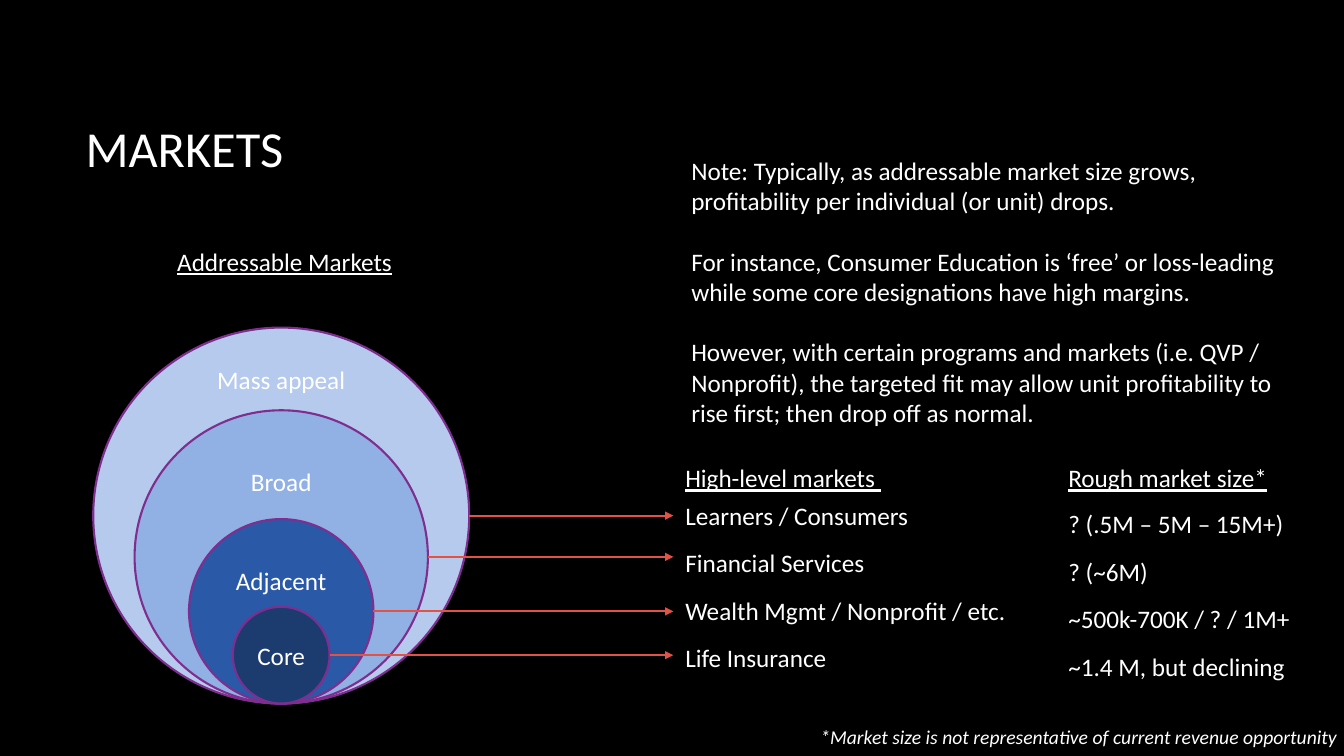
import pptx
import pptx.dml.color
import pptx.enum.shapes
import pptx.enum.text
import pptx.oxml
import pptx.oxml.ns
import pptx.util
from dataclasses import dataclass

ANCHOR = pptx.enum.text.MSO_ANCHOR
ALIGN = pptx.enum.text.PP_ALIGN
FIT = pptx.enum.text.MSO_AUTO_SIZE


@dataclass(frozen=True)
class Theme:
    font: str = "Calibri"
    background: str = "000000"
    text: str = "FFFFFF"
    outline: str = "7F2E8F"
    arrow: str = "E25247"
    title: int = 36
    body: int = 18
    footnote: int = 14
    line: float = 1.5
    gap: float = 21.6


THEME = Theme()

# Square grid: ten cells to the inch
COLUMNS, ROWS = 133.33, 75
CIRCLE_CENTRE, CIRCLE_BASE = 27.9, 69.8
ARROW_END = 66.8
MARKET_COLUMN, SIZE_COLUMN = 67, 105
HEADING_ROW, ROW_STEP = 45.4, 4.72
LABEL_HEIGHT = 4

# Label, diameter, fill, label inset from the top of the text area
CIRCLES = [
    ("Mass appeal", 37.3, "B5CAED", -1.86),
    ("Broad", 29.1, "91B0E3", 1.25),
    ("Adjacent", 18.3, "2A59A8", 1.9),
    ("Core", 9.6, "1C3C70", 1.9),
]
# Market, size
MARKETS = [
    ("Learners / Consumers", "? (.5M – 5M – 15M+)"),
    ("Financial Services", "? (~6M)"),
    ("Wealth Mgmt / Nonprofit / etc.", "~500k-700K / ? / 1M+"),
    ("Life Insurance", "~1.4 M, but declining"),
]
NOTES = [
    "Note: Typically, as addressable market size grows, \v"
    "profitability per individual (or unit) drops.",
    "For instance, Consumer Education is ‘free’ or loss-leading "
    "while some core designations have high margins.",
    "However, with certain programs and markets (i.e. QVP / Nonprofit), "
    "the targeted fit may allow unit profitability to rise first; "
    "then drop off as normal.",
]


def cells(count):
    return pptx.util.Inches(count / 10)


def colour(code):
    return pptx.dml.color.RGBColor.from_string(code)


def apply_format(target, values):
    for name, value in values.items():
        setattr(target, name, value)


def write(frame, paragraphs, size=THEME.body, align=ALIGN.LEFT, **style):
    for index, words in enumerate(paragraphs):
        para = frame.add_paragraph() if index else frame.paragraphs[0]
        para.text = words
        para.alignment = align
        if index:
            para.space_before = pptx.util.Pt(THEME.gap)
        for span in para.runs:
            apply_format(span.font, {
                "name": THEME.font, "size": pptx.util.Pt(size), **style})
            span.font.color.rgb = colour(THEME.text)


def add_text(shapes, column, row, width, height, paragraphs,
             frame_format=None, **style):
    box = shapes.add_textbox(*map(cells, (column, row, width, height)))
    apply_format(box.text_frame, {
        "word_wrap": True, "auto_size": FIT.SHAPE_TO_FIT_TEXT,
        **(frame_format or {})})
    write(box.text_frame, paragraphs, **style)


def add_circle(shapes, label, diameter, fill, inset):
    circle = shapes.add_shape(
        pptx.enum.shapes.MSO_SHAPE.OVAL,
        cells(CIRCLE_CENTRE - diameter / 2), cells(CIRCLE_BASE - diameter),
        cells(diameter), cells(diameter))
    circle.shadow.inherit = False
    circle.fill.solid()
    circle.fill.fore_color.rgb = colour(fill)
    circle.line.color.rgb = colour(THEME.outline)
    circle.line.width = pptx.util.Pt(THEME.line)
    apply_format(circle.text_frame, {
        "word_wrap": True, "vertical_anchor": ANCHOR.TOP,
        "margin_top": cells(inset), "margin_bottom": 0,
        "margin_left": 0, "margin_right": 0})
    write(circle.text_frame, [label], align=ALIGN.CENTER)


def add_arrow(shapes, diameter):
    row = cells(CIRCLE_BASE - diameter / 2)
    arrow = shapes.add_connector(
        pptx.enum.shapes.MSO_CONNECTOR.STRAIGHT,
        cells(CIRCLE_CENTRE + diameter / 2), row, cells(ARROW_END), row)
    arrow.line.color.rgb = colour(THEME.arrow)
    arrow.line.width = pptx.util.Pt(THEME.line)
    namespace = pptx.oxml.ns.nsdecls("a")
    arrow.line._get_or_add_ln().append(
        pptx.oxml.parse_xml(f'<a:tailEnd {namespace} type="triangle"/>'))
    arrow._element.spPr.append(
        pptx.oxml.parse_xml(f"<a:effectLst {namespace}/>"))


def main():
    deck = pptx.Presentation()
    deck.slide_width, deck.slide_height = cells(COLUMNS), cells(ROWS)
    page = deck.slides.add_slide(deck.slide_layouts[6])
    page.background.fill.solid()
    page.background.fill.fore_color.rgb = colour(THEME.background)

    # Title and notes
    add_text(page.shapes, 7.5, 6.7, 110.8, 15.9, ["MARKETS"],
             {"auto_size": FIT.NONE, "vertical_anchor": ANCHOR.MIDDLE},
             size=THEME.title)
    add_text(page.shapes, 67.6, 14.9, 62.6, 28.3, NOTES)

    # Nested circles, their arrows and the markets they point to
    diagram = page.shapes.add_group_shape().shapes
    for circle in CIRCLES:
        add_circle(diagram, *circle)
    for label, diameter, fill, inset in CIRCLES:
        add_arrow(diagram, diameter)
    for index, (market, size) in enumerate(MARKETS):
        offset = index * ROW_STEP
        add_text(diagram, MARKET_COLUMN, 49.1 + offset, 36.3, LABEL_HEIGHT,
                 [market])
        add_text(page.shapes, SIZE_COLUMN, 49.95 + offset, 28, LABEL_HEIGHT,
                 [size])

    # Headings
    for column, row, heading in [
            (16.6, 23.95, "Addressable Markets"),
            (MARKET_COLUMN, HEADING_ROW, "High-level markets "),
            (SIZE_COLUMN, HEADING_ROW, "Rough market size*")]:
        add_text(page.shapes, column, row, 23.7, LABEL_HEIGHT, [heading],
                 underline=True)

    # Footnote
    add_text(page.shapes, 80.4, 71.4, 54.4, 3.4,
             ["*Market size is not representative of current revenue opportunity"],
             {"word_wrap": False}, size=THEME.footnote, italic=True)

    deck.save("out.pptx")


if __name__ == "__main__":
    main()
